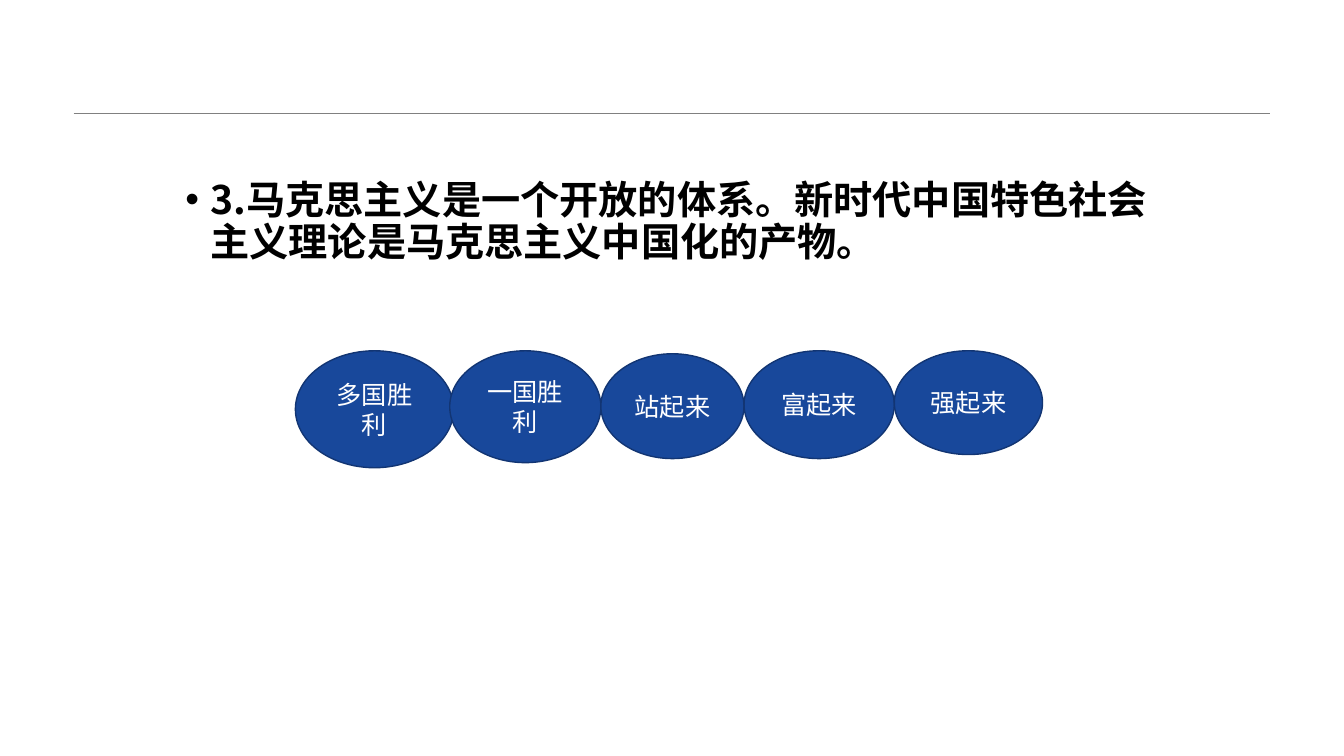
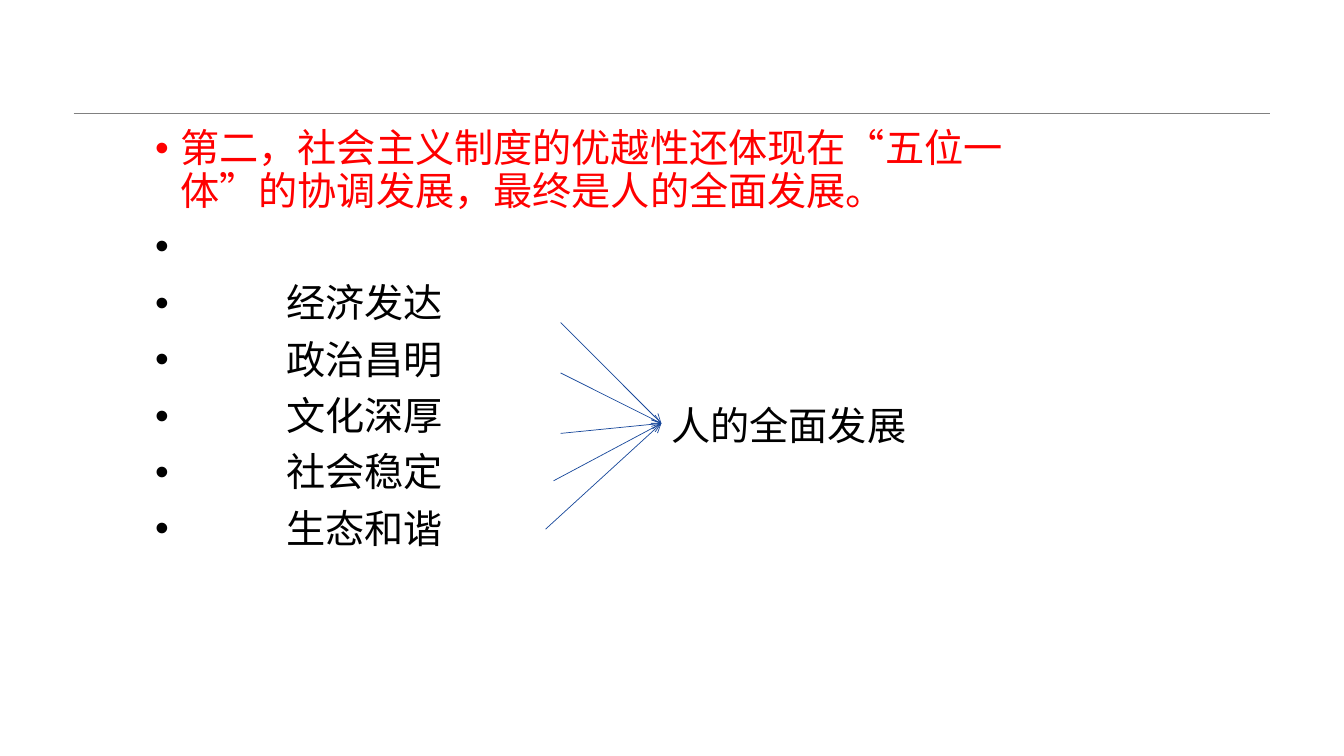
from lxml import etree
from pptx import Presentation
from pptx import util as u
from pptx.dml.color import RGBColor
from pptx.enum import shapes, text
from pptx.oxml.ns import qn

BLUE = RGBColor(0x18, 0x48, 0x9B)
NAVY = RGBColor(0x12, 0x35, 0x73)
GRAY = RGBColor(0x80, 0x80, 0x80)
RED = RGBColor(0xFF, 0x00, 0x00)
BLACK = RGBColor(0x00, 0x00, 0x00)
WHITE = RGBColor(0xFF, 0xFF, 0xFF)
LATIN, CJK = "Arial", "Noto Sans CJK SC"

deck = Presentation()
deck.slide_width, deck.slide_height = u.Inches(13.33), u.Inches(7.5)
# The grid: a hundred columns by a hundred rows
COL, ROW = deck.slide_width / 100, deck.slide_height / 100


def add_words(paragraph, words, size, color, bold=False, latin=LATIN, bullet_indent=None):
    """Add one run; with a bullet_indent the paragraph gets a hanging bullet."""
    if bullet_indent is not None:
        paragraph.line_spacing = 0.9
        props = paragraph._p.get_or_add_pPr()
        props.set("marL", str(u.Inches(bullet_indent)))
        props.set("indent", str(-u.Inches(bullet_indent)))
        etree.SubElement(props, qn("a:buFont")).set("typeface", LATIN)
        etree.SubElement(props, qn("a:buChar")).set("char", "•")
    run = paragraph.add_run()
    run.text = words
    run.font.size, run.font.bold = u.Pt(size), bold
    run.font.color.rgb = color
    run.font.name = latin
    etree.SubElement(run.font._element, qn("a:ea")).set("typeface", CJK)


def add_line(slide, start, end, color, width, arrow=False):
    """Draw a straight line between two (column, row) points."""
    line = slide.shapes.add_connector(
        shapes.MSO_CONNECTOR.STRAIGHT,
        int(start[0] * COL), int(start[1] * ROW), int(end[0] * COL), int(end[1] * ROW))
    line.line.color.rgb, line.line.width = color, u.Pt(width)
    if arrow:
        etree.SubElement(line.line._get_or_add_ln(), qn("a:tailEnd")).set("type", "arrow")
    etree.SubElement(line._element.spPr, qn("a:effectLst"))


# Both slides: header rule and an empty body frame
bodies = []
for left, top, width, height in [(13.05, 23.2, 73.5, 66.4), (10.8, 16.4, 69.5, 73.2)]:
    slide = deck.slides.add_slide(deck.slide_layouts[6])
    add_line(slide, (5.48, 14.93), (94.52, 14.93), GRAY, 0.25)
    body = slide.shapes.add_textbox(
        int(left * COL), int(top * ROW), int(width * COL), int(height * ROW)).text_frame
    body.word_wrap = True
    bodies.append(body)
stages_slide, goals_slide = deck.slides
thesis, goals = bodies

# Slide 1: thesis and the chain of stages
add_words(thesis.paragraphs[0],
          "3.马克思主义是一个开放的体系。新时代中国特色社会主义理论是马克思主义中国化的产物。",
          28, BLACK, bold=True, latin=CJK, bullet_indent=0.25)

STAGES = [
    ("多国胜利", 21.98, 46.4, 11.78, 15.47),
    ("一国胜利", 33.46, 46.4, 11.25, 14.8),
    ("站起来", 44.71, 46.8, 10.65, 13.87),
    ("富起来", 55.36, 46.4, 11.18, 14.27),
    ("强起来", 66.54, 46.4, 11.03, 13.73),
]
for words, left, top, width, height in STAGES:
    stage = stages_slide.shapes.add_shape(
        shapes.MSO_SHAPE.OVAL,
        int(left * COL), int(top * ROW), int(width * COL), int(height * ROW))
    stage.shadow.inherit = False
    stage.fill.solid()
    stage.fill.fore_color.rgb = BLUE
    stage.line.color.rgb, stage.line.width = NAVY, u.Pt(1)
    stage.text_frame.word_wrap = True
    stage.text_frame.vertical_anchor = text.MSO_ANCHOR.MIDDLE
    stage.text_frame.paragraphs[0].alignment = text.PP_ALIGN.CENTER
    add_words(stage.text_frame.paragraphs[0], words, 18, WHITE)

# Slide 2: claim, then the five goals (the first bullet stands alone)
add_words(goals.paragraphs[0],
          "第二，社会主义制度的优越性还体现在“五位一体”的协调发展，最终是人的全面发展。",
          28, RED, bullet_indent=0.25)
for goal in [" ", "经济发达", "政治昌明", "文化深厚", "社会稳定", "生态和谐"]:
    paragraph = goals.add_paragraph()
    paragraph.space_before = u.Pt(10)
    add_words(paragraph, goal, 28, BLACK, bullet_indent=1.3)

# Arrows from the goals to the outcome
OUTCOME = (49.21, 56)
for start in [(41.71, 42.67), (41.71, 49.33), (41.71, 57.33), (41.19, 63.6), (40.59, 70)]:
    add_line(goals_slide, start, OUTCOME, BLUE, 0.5, arrow=True)

outcome = goals_slide.shapes.add_textbox(
    int(OUTCOME[0] * COL), int(52.4 * ROW), int(25 * COL), int(7.6 * ROW)).text_frame
outcome.word_wrap = True
add_words(outcome.paragraphs[0], "人的全面发展", 28, BLACK)

deck.save("out.pptx")
